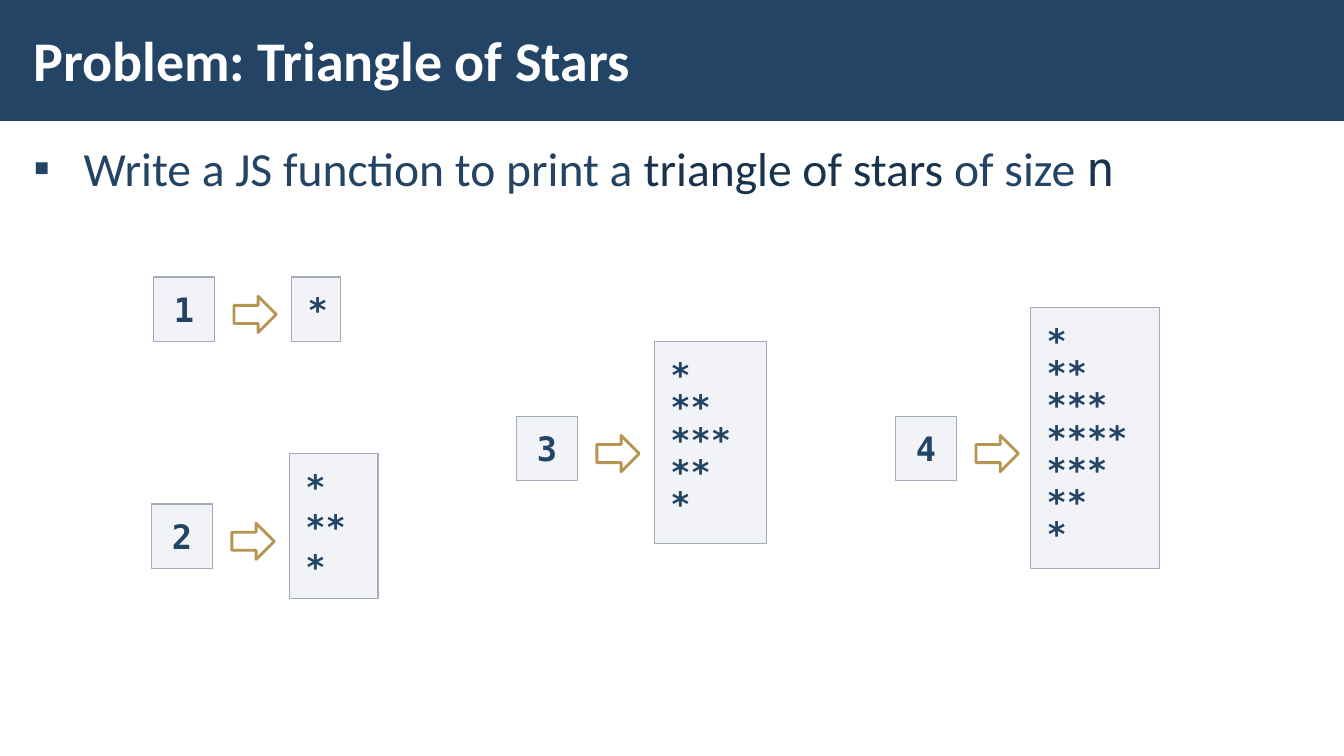
from dataclasses import dataclass

from lxml.etree import SubElement
from pptx import Presentation
from pptx.dml.color import RGBColor
from pptx.enum.shapes import MSO_SHAPE
from pptx.enum.text import MSO_ANCHOR, MSO_AUTO_SIZE, PP_ALIGN
from pptx.oxml.ns import qn
from pptx.util import Pt

PX = 9144


@dataclass(frozen=True)
class Theme:
    navy: str = "234465"
    dark: str = "1A334C"
    white: str = "FFFFFF"
    panel: str = "C2C7D2"
    border: str = "A3ABBC"
    gold: str = "B79451"
    sans: str = "Calibri"
    mono: str = "DejaVu Sans Mono"
    title_size: int = 40
    body_size: int = 34
    code_size: int = 24


def write(paragraph, text, *, font, size, color, bold=False, align=PP_ALIGN.LEFT,
          line=None, before=None, after=None):
    paragraph.alignment = align
    if line is not None:
        paragraph.line_spacing = line
    if before is not None:
        paragraph.space_before = Pt(before)
    if after is not None:
        paragraph.space_after = Pt(after)
    run = paragraph.add_run()
    run.text = text
    run.font.name = font
    run.font.size = Pt(size)
    run.font.bold = bold
    run.font.color.rgb = RGBColor.from_string(color)


class StarSlide:
    def __init__(self, slide, theme):
        self.slide = slide
        self.theme = theme

    def place(self, placeholder, box, insets, anchor):
        placeholder.left, placeholder.top, placeholder.width, placeholder.height = (
            length * PX for length in box)
        return self.frame(placeholder, insets, anchor)

    def frame(self, shape, insets, anchor):
        frame = shape.text_frame
        frame.word_wrap = True
        frame.auto_size = MSO_AUTO_SIZE.NONE
        frame.vertical_anchor = anchor
        across, down = (inset * PX for inset in insets)
        frame.margin_left = frame.margin_right = across
        frame.margin_top = frame.margin_bottom = down
        return frame

    def shape(self, kind, box, fill, line=None, weight=1, alpha=None):
        shape = self.slide.shapes.add_shape(kind, *(length * PX for length in box))
        shape.shadow.inherit = False
        shape.fill.solid()
        shape.fill.fore_color.rgb = RGBColor.from_string(fill)
        if alpha is not None:
            color = shape.fill._xPr.find(qn("a:solidFill"))[0]
            SubElement(color, qn("a:alpha"), val=str(alpha * 1000))
        if line:
            shape.line.color.rgb = RGBColor.from_string(line)
            shape.line.width = Pt(weight)
        else:
            shape.line.fill.background()
        return shape

    def header(self, box):
        band = self.shape(MSO_SHAPE.RECTANGLE, box, self.theme.navy)
        self.slide.shapes._spTree.insert(2, band._element)

    def title(self, text, box):
        frame = self.place(self.slide.shapes.title, box, (12, 4), MSO_ANCHOR.MIDDLE)
        write(frame.paragraphs[0], text, font=self.theme.sans,
              size=self.theme.title_size, color=self.theme.white, bold=True)

    def bullet(self, parts, box):
        frame = self.place(self.slide.placeholders[1], box, (12, 4), MSO_ANCHOR.TOP)
        paragraph = frame.paragraphs[0]
        for text, font, color in parts:
            write(paragraph, text, font=font, size=self.theme.body_size, color=color,
                  line=1.05, before=6, after=6)
        properties = paragraph._p.get_or_add_pPr()
        properties.set("marL", str(50 * PX))
        properties.set("indent", str(-50 * PX))
        bullet_color = SubElement(properties, qn("a:buClr"))
        SubElement(bullet_color, qn("a:srgbClr"), val=self.theme.navy)
        SubElement(properties, qn("a:buChar"), char="▪")

    def code_box(self, lines, box, align=PP_ALIGN.LEFT, line=None, before=None):
        panel = self.shape(MSO_SHAPE.RECTANGLE, box, self.theme.panel,
                           self.theme.border, alpha=20)
        frame = self.frame(panel, (16, 12), MSO_ANCHOR.TOP)
        for index, text in enumerate(lines):
            first = index == 0
            paragraph = frame.paragraphs[0] if first else frame.add_paragraph()
            write(paragraph, text, font=self.theme.mono, size=self.theme.code_size,
                  color=self.theme.navy, bold=True, align=align,
                  line=None if first else line, before=before if first else None)

    def arrow(self, box):
        self.shape(MSO_SHAPE.RIGHT_ARROW, box, self.theme.white, self.theme.gold, 2)

    def example(self, size, left, top, output, line=None, before=None):
        self.code_box([str(size)], (left, top, 61, 64), PP_ALIGN.CENTER)
        self.arrow((left + 80, top + 19, 42, 36))
        rows = [*range(1, size + 1), *range(size - 1, 0, -1)]
        self.code_box(["*" * stars for stars in rows], output, line=line, before=before)


def main():
    presentation = Presentation()
    presentation.slide_width = 1333 * PX
    presentation.slide_height = 750 * PX
    theme = Theme()
    page = StarSlide(presentation.slides.add_slide(presentation.slide_layouts[1]), theme)

    page.header((0, 0, 1333, 120))
    page.title("Problem: Triangle of Stars", (21, 11, 1040, 96))
    page.bullet([
        ("Write a JS function to print a ", theme.sans, theme.navy),
        ("triangle of stars ", theme.sans, theme.dark),
        ("of size ", theme.sans, theme.navy),
        ("n", theme.mono, theme.dark),
    ], (21, 131, 1292, 569))

    page.example(1, 152, 275, (289, 275, 49, 64))
    page.example(2, 150, 500, (287, 450, 88, 144), before=3)
    page.example(3, 512, 413, (649, 339, 111, 200), line=0.8)
    page.example(4, 888, 413, (1022, 305, 128, 259), line=0.8)

    presentation.save("out.pptx")


if __name__ == "__main__":
    main()
